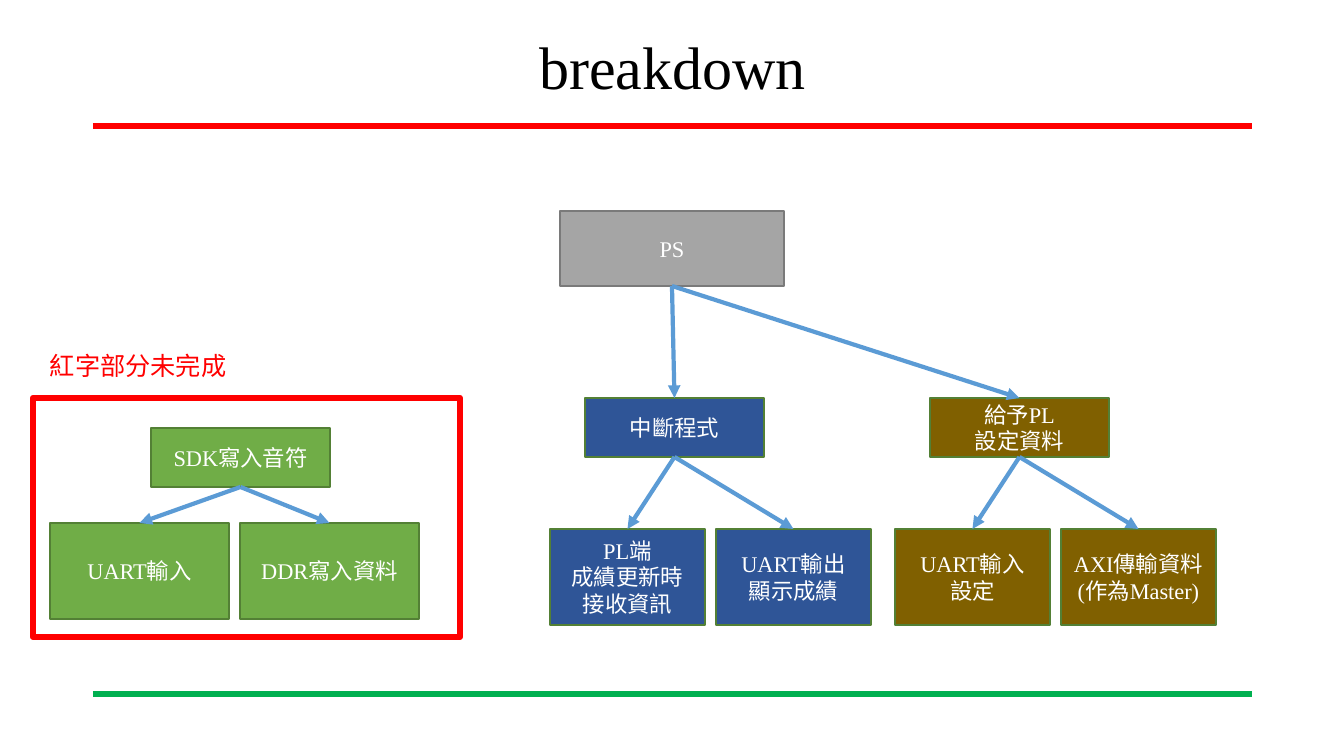
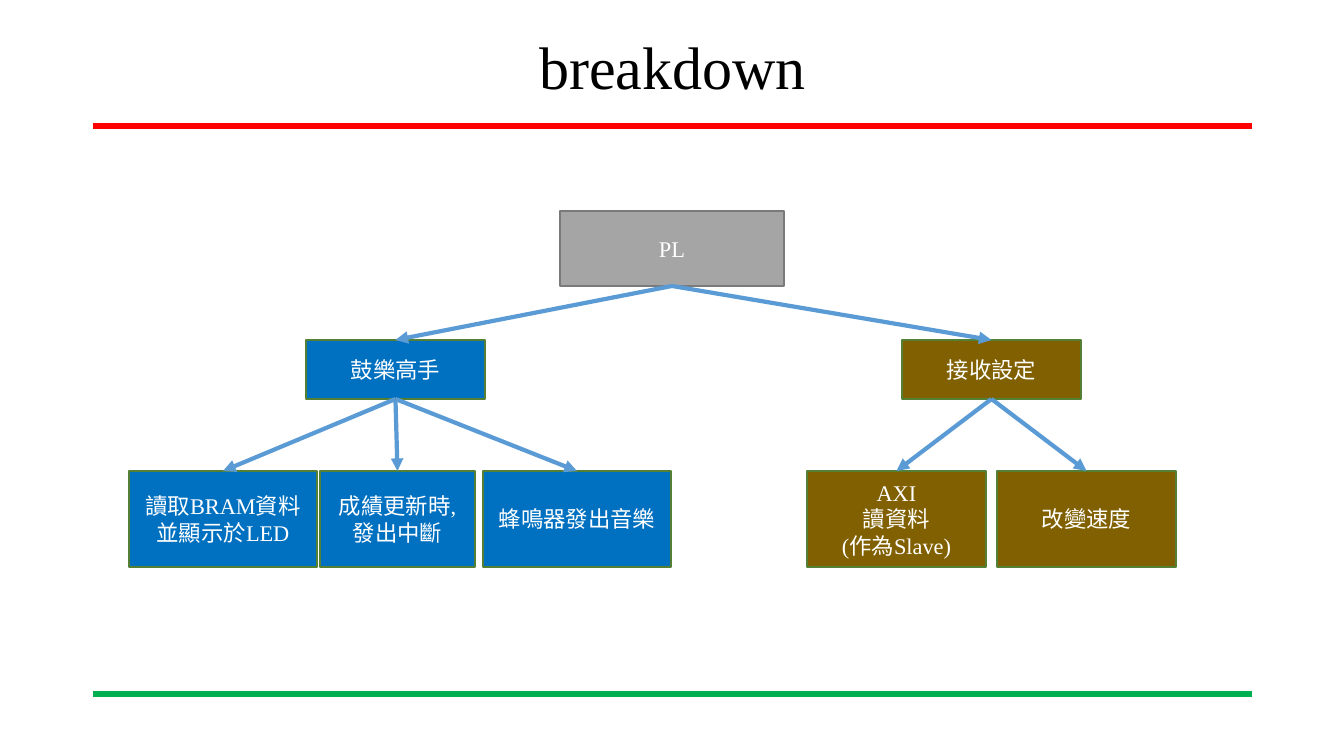
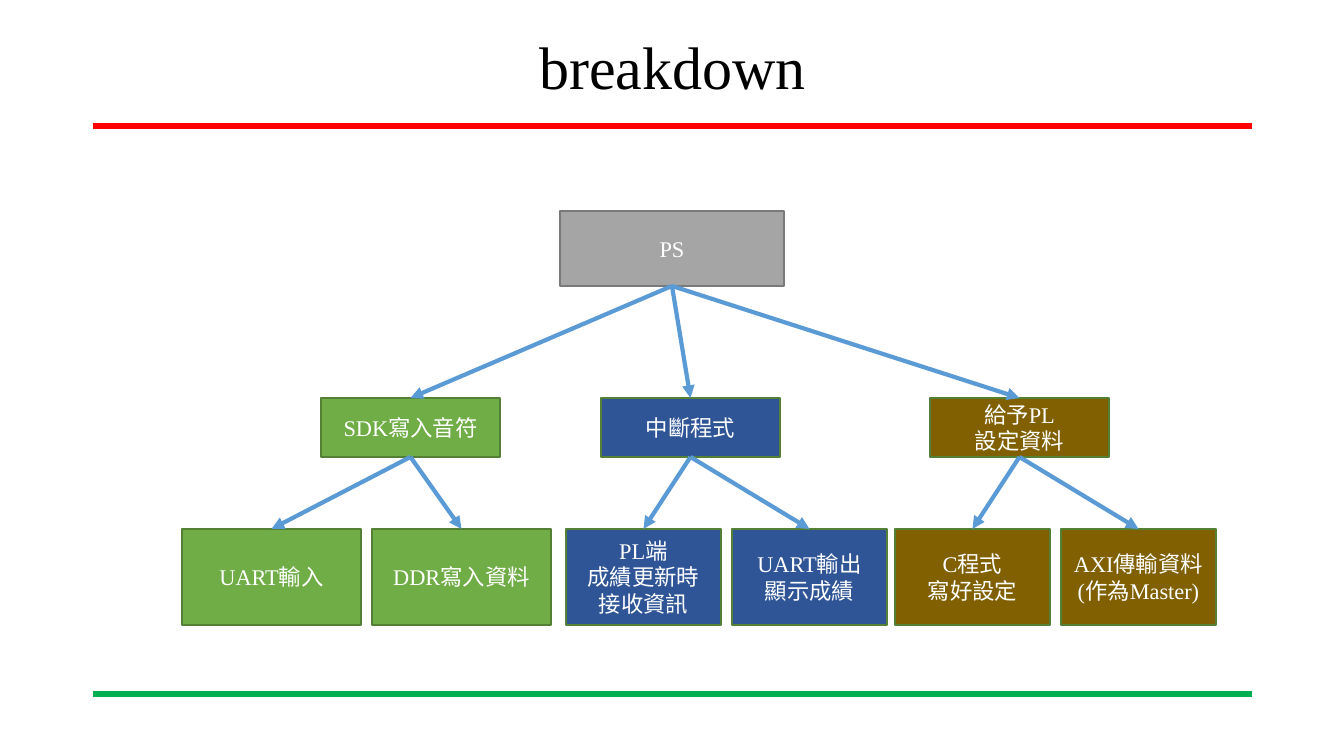
import pptx
import pptx.dml.color
import pptx.enum.shapes
import pptx.enum.text
import pptx.oxml.ns
import pptx.util
from lxml import etree

PX = 914400 / 100.8  # EMU in one px

THEME = {
    "size": (1344, 756),
    "title_box": (93, 30, 1159, 80),
    "bands": [(126, "FF0000"), (694, "00B050")],
    "band_x": (93, 1252),
    "band_pt": 4.5,
    "root": ("A5A5A5", "7A7A7A"),
    "box_line": "538035",
    "box_pt": 1,
    "arrow": ("5B9BD5", 3),
    "warn": "FF0000",
    "title_font": {"name": "Times New Roman", "size": 42.9, "color": "000000"},
    "box_font": {"name": "Times New Roman", "size": 16, "color": "FFFFFF"},
    "note_font": {"name": "Calibri", "size": 18, "color": "FF0000"},
}
GREEN, NAVY, BLUE, BROWN = "70AD47", "2F5597", "0070C0", "806000"

# Sizes shared by every tree
ROOT_BOX = (560, 211, 224, 75)
BRANCH_W, BRANCH_H, LEAF_H = 179, 59, 96
WIDE, NARROW, TRIPLE = 179, 155, 188
GAP = 11

# Groups: x is the branch's left edge, leaf_dx the first leaf's offset from it
NOTES = {"color": GREEN, "text": "SDK寫入音符", "x": 321, "leaf_dx": -139,
         "leaves": [(WIDE, "UART輸入"), (WIDE, "DDR寫入資料")]}
INTERRUPT = {"color": NAVY, "text": "中斷程式", "x": 601, "leaf_dx": -35,
             "leaves": [(NARROW, "PL端\n成績更新時\n接收資訊"),
                        (NARROW, "UART輸出\n顯示成績")]}
SETTINGS = {"color": BROWN, "text": "給予PL\n設定資料", "x": 930, "leaf_dx": -35}
AXI_MASTER = (NARROW, "AXI傳輸資料\n(作為Master)")
DRUM = {"color": BLUE, "text": "鼓樂高手", "x": 306, "leaf_dx": -177, "gaps": (3, 8),
        "leaves": [(TRIPLE, "讀取BRAM資料\n並顯示於LED"),
                   (NARROW, "成績更新時,發出中斷"),
                   (TRIPLE, "蜂鳴器發出音樂")]}
RECEIVE = {"color": BROWN, "text": "接收設定", "x": 902, "leaf_dx": -95,
           "leaves": [(WIDE, "AXI\n讀資料\n(作為Slave)"), (WIDE, "改變速度")]}

SLIDES = [
    {"root": "PS", "tops": (398, 529),
     "groups": [dict(INTERRUPT, x=585),
                dict(SETTINGS, leaves=[(NARROW, "UART輸入\n設定"), AXI_MASTER]),
                dict(NOTES, x=151, leaf_dx=-101, tops=(428, 523), loose=True)],
     "unfinished": {"frame": (33, 398, 427, 239), "note": (40, 345, 199, 40),
                    "text": "紅字部分未完成"}},
    {"root": "PL", "tops": (340, 471), "groups": [DRUM, RECEIVE]},
    {"root": "PS", "tops": (398, 529),
     "groups": [NOTES, INTERRUPT,
                dict(SETTINGS, leaves=[(NARROW, "C程式\n寫好設定"), AXI_MASTER])]},
]


def emu(*lengths):
    return [round(n * PX) for n in lengths]


def rgb(code):
    return pptx.dml.color.RGBColor.from_string(code)


def set_line(shape, color, pt):
    shape.line.color.rgb = rgb(color)
    shape.line.width = pptx.util.Pt(pt)


def write(shape, text, font, centred=True, spacing=None):
    tf = shape.text_frame
    tf.word_wrap = centred
    if centred:
        tf.vertical_anchor = pptx.enum.text.MSO_ANCHOR.MIDDLE
    for i, line in enumerate(text.split("\n")):
        p = tf.add_paragraph() if i else tf.paragraphs[0]
        align = pptx.enum.text.PP_ALIGN
        p.alignment = align.CENTER if centred else align.LEFT
        if spacing:
            p.line_spacing = spacing
        r = p.add_run()
        r.text = line
        values = {"name": font["name"], "size": pptx.util.Pt(font["size"])}
        for key, value in values.items():
            setattr(r.font, key, value)
        r.font.color.rgb = rgb(font["color"])


def add_box(s, at, fill, line, pt, text=None):
    sp = s.shapes.add_shape(pptx.enum.shapes.MSO_SHAPE.RECTANGLE, *emu(*at))
    sp.shadow.inherit = False
    if fill:
        sp.fill.solid()
        sp.fill.fore_color.rgb = rgb(fill)
    else:
        sp.fill.background()
    set_line(sp, line, pt)
    if text:
        write(sp, text, THEME["box_font"])
    return sp


def add_line(s, x1, y1, x2, y2, color, pt):
    c = s.shapes.add_connector(pptx.enum.shapes.MSO_CONNECTOR.STRAIGHT,
                               *emu(x1, y1, x2, y2))
    set_line(c, color, pt)
    etree.SubElement(c.element.spPr, pptx.oxml.ns.qn("a:effectLst"))
    return c


def add_arrow(s, parent, child):
    c = add_line(s, 0, 0, 0, 0, *THEME["arrow"])
    c.begin_connect(parent, 2)  # bottom centre
    c.end_connect(child, 0)     # top centre
    ln = c.element.spPr.find(pptx.oxml.ns.qn("a:ln"))
    etree.SubElement(ln, pptx.oxml.ns.qn("a:tailEnd"), type="triangle")


def add_frame(s):
    """Title and the two coloured bands found on every slide."""
    left, right = THEME["band_x"]
    for y, color in THEME["bands"]:
        add_line(s, left, y, right, y, color, THEME["band_pt"])
    title = s.shapes.add_textbox(*emu(*THEME["title_box"]))
    write(title, "breakdown", THEME["title_font"], spacing=0.9)


def add_group(s, root, group, tops):
    """One branch, its row of leaves and the arrows between them."""
    branch_top, leaf_top = group.get("tops", tops)
    style = (group["color"], THEME["box_line"], THEME["box_pt"])
    branch = add_box(s, (group["x"], branch_top, BRANCH_W, BRANCH_H),
                     *style, group["text"])
    if not group.get("loose"):
        add_arrow(s, root, branch)
    leaves = group["leaves"]
    gaps = group.get("gaps", (GAP,) * (len(leaves) - 1))
    x = group["x"] + group["leaf_dx"]
    for (width, text), gap in zip(leaves, (*gaps, 0)):
        leaf = add_box(s, (x, leaf_top, width, LEAF_H), *style, text)
        add_arrow(s, branch, leaf)
        x += width + gap


def add_unfinished(s, part):
    """Red outline and note around the part still to do."""
    add_box(s, part["frame"], None, THEME["warn"], THEME["band_pt"])
    note = s.shapes.add_textbox(*emu(*part["note"]))
    write(note, part["text"], THEME["note_font"], centred=False)


def main():
    prs = pptx.Presentation()
    prs.slide_width, prs.slide_height = emu(*THEME["size"])
    for content in SLIDES:
        s = prs.slides.add_slide(prs.slide_layouts[6])
        add_frame(s)
        root = add_box(s, ROOT_BOX, *THEME["root"], THEME["box_pt"], content["root"])
        for group in content["groups"]:
            add_group(s, root, group, content["tops"])
        if "unfinished" in content:
            add_unfinished(s, content["unfinished"])
    prs.save("out.pptx")


if __name__ == "__main__":
    main()
